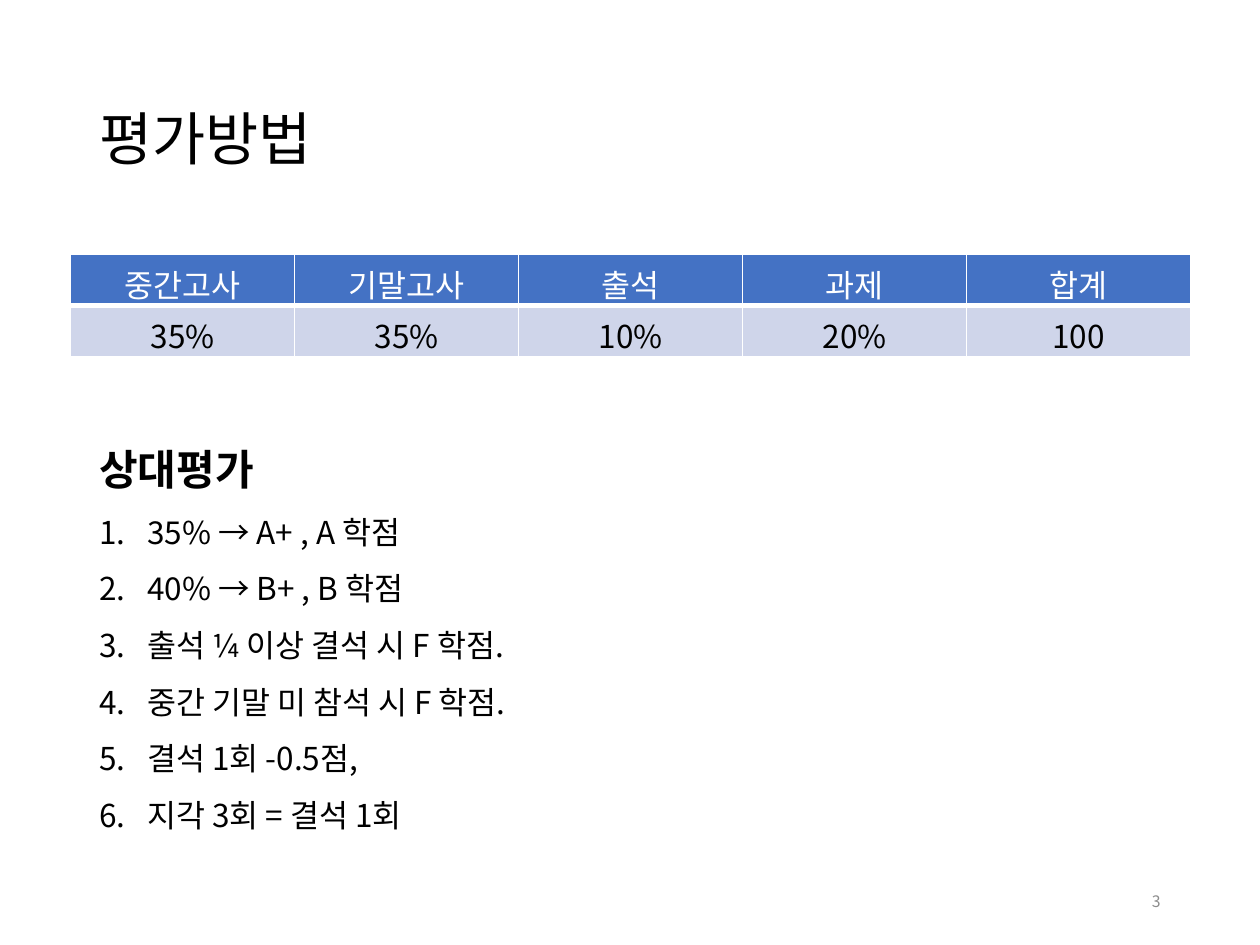
from dataclasses import dataclass

from lxml.etree import SubElement
from pptx import Presentation
from pptx.dml.color import RGBColor
from pptx.enum.text import MSO_ANCHOR as Anchor, MSO_AUTO_SIZE as AutoSize, PP_ALIGN as Align
from pptx.oxml.ns import qn
from pptx.slide import Slide
from pptx.util import Inches, Pt

FONT = "Noto Sans CJK KR"
COLORS = {
    "text": "000000",
    "white": "FFFFFF",
    "header": "4472C4",
    "row": "CFD5EA",
    "number": "8C8C8C",
}


@dataclass
class Style:
    """Character formatting of one run."""
    size: float
    color: str = "text"
    bold: bool = False


@dataclass
class Column:
    """One graded item and its share."""
    item: str
    share: str


COLUMNS = [
    Column("중간고사", "35%"),
    Column("기말고사", "35%"),
    Column("출석", "10%"),
    Column("과제", "20%"),
    Column("합계", "100"),
]
RULES = [
    "35% → A+ , A 학점",
    "40% → B+ , B 학점",
    "출석 ¼ 이상 결석 시 F 학점.",
    "중간 기말 미 참석 시 F 학점.",
    "결석 1회 -0.5점,",
    "지각 3회 = 결석 1회",
]


def rgb(name: str) -> RGBColor:
    """Look up a named colour."""
    return RGBColor.from_string(COLORS[name])


def add_span(para, text: str, style: Style) -> None:
    """Add a formatted run for Latin and Korean text."""
    span = para.add_run()
    span.text = text
    span.font.name = FONT
    span.font.size = Pt(style.size)
    span.font.bold = style.bold
    span.font.color.rgb = rgb(style.color)
    SubElement(span.font._element, qn("a:ea"), typeface=FONT)


def add_border(cell, side: str, width: float) -> None:
    """Draw one white edge of a table cell."""
    properties = cell._tc.get_or_add_tcPr()
    line = SubElement(properties, qn(f"a:ln{side}"), w=str(Pt(width)))
    fill = SubElement(line, qn("a:solidFill"))
    SubElement(fill, qn("a:srgbClr"), val=COLORS["white"])


def fill_cell(cell, text: str, is_header: bool) -> None:
    """Write, border and colour a table cell."""
    para = cell.text_frame.paragraphs[0]
    para.alignment = Align.CENTER
    add_span(para, text, Style(18, "white" if is_header else "text"))
    for side in "LRTB":
        add_border(cell, side, 3 if is_header and side == "B" else 1)
    cell.fill.solid()
    cell.fill.fore_color.rgb = rgb("header" if is_header else "row")


def add_title(page: Slide, text: str) -> None:
    """Place and write the title."""
    title = page.shapes.title
    title.left, title.top = Inches(0.69), Inches(0.4)
    title.width, title.height = Inches(8.62), Inches(1.45)
    title.text_frame.vertical_anchor = Anchor.MIDDLE
    para = title.text_frame.paragraphs[0]
    para.alignment = Align.LEFT
    para.line_spacing = 0.9
    add_span(para, text, Style(33))


def add_grading_table(page: Slide) -> None:
    """Add the table of grading shares."""
    table = page.shapes.add_table(
        2, len(COLUMNS), Inches(0.56), Inches(2.02), Inches(8.89), Inches(0.81)
    ).table
    for index, column in enumerate(COLUMNS):
        fill_cell(table.cell(0, index), column.item, True)
        fill_cell(table.cell(1, index), column.share, False)


def add_rules(page: Slide) -> None:
    """Add the heading and the numbered grading rules."""
    box = page.shapes.add_textbox(Inches(0.69), Inches(3.27), Inches(8.61), Inches(3.83))
    frame = box.text_frame
    frame.word_wrap = True
    frame.auto_size = AutoSize.SHAPE_TO_FIT_TEXT
    heading = frame.paragraphs[0]
    heading.line_spacing = 1.5
    add_span(heading, "상대평가", Style(24, bold=True))
    indent = Inches(0.38)
    for rule in RULES:
        para = frame.add_paragraph()
        para.line_spacing = 1.5
        properties = para._p.get_or_add_pPr()
        properties.set("marL", str(indent))
        properties.set("indent", str(-indent))
        SubElement(properties, qn("a:buAutoNum"), type="arabicPeriod")
        add_span(para, rule, Style(18))


def add_page_number(page: Slide, number: str) -> None:
    """Add the page number at the lower right."""
    box = page.shapes.add_textbox(Inches(7.06), Inches(6.95), Inches(2.25), Inches(0.4))
    box.text_frame.word_wrap = True
    box.text_frame.vertical_anchor = Anchor.MIDDLE
    para = box.text_frame.paragraphs[0]
    para.alignment = Align.RIGHT
    add_span(para, number, Style(9, "number"))


def main() -> None:
    """Build and save the deck."""
    deck = Presentation()
    deck.slide_width, deck.slide_height = Inches(10), Inches(7.5)
    page = deck.slides.add_slide(deck.slide_layouts[5])
    add_title(page, "평가방법")
    add_page_number(page, "3")
    add_grading_table(page)
    add_rules(page)
    deck.save("out.pptx")


if __name__ == "__main__":
    main()
